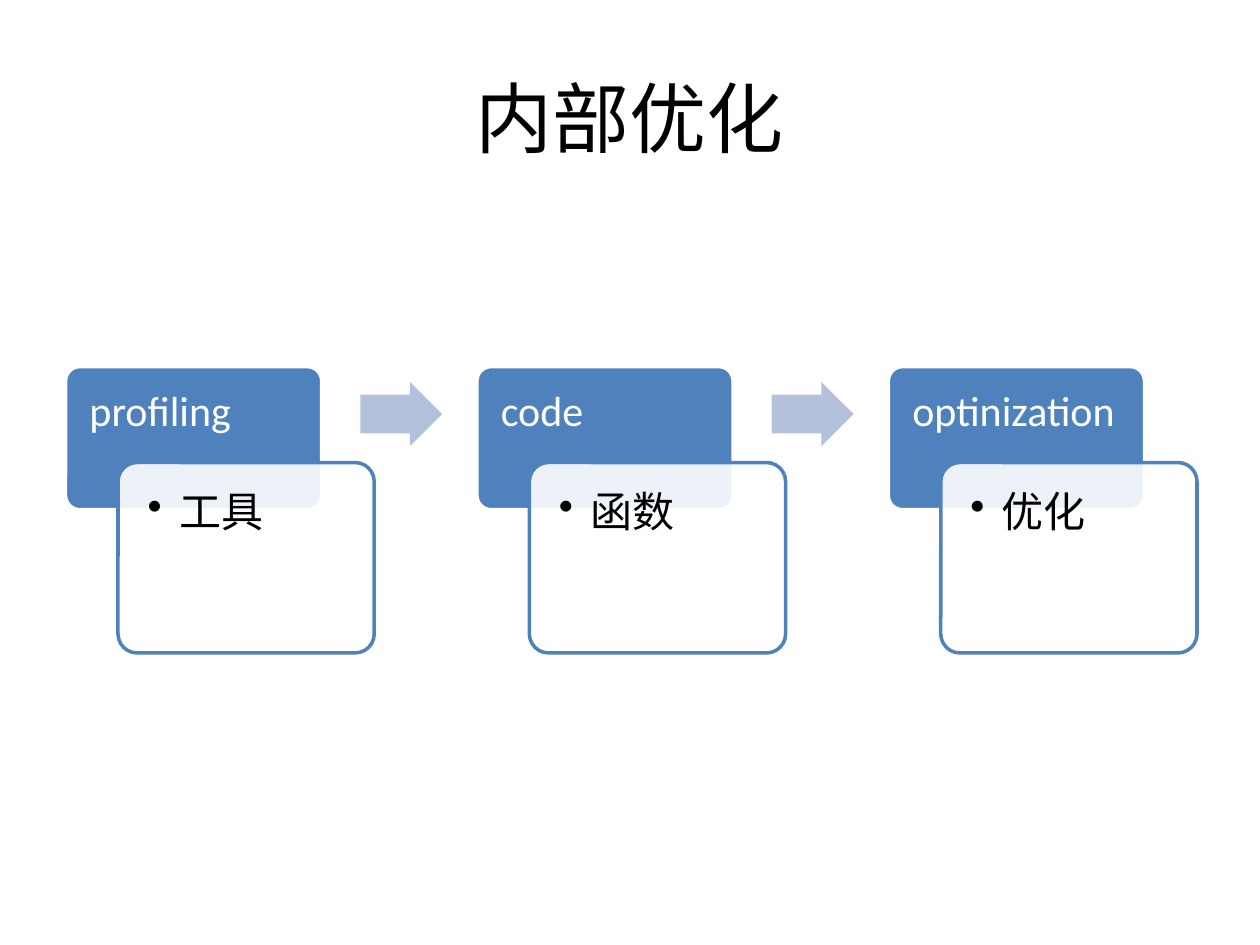
import lxml.etree
import pptx
import pptx.dml.color
import pptx.enum.shapes
import pptx.enum.text
import pptx.oxml.ns
import pptx.util

COLORS = {"blue": "4F81BD", "arrow": "B3C1DB", "white": "FFFFFF", "black": "000000"}
FONT = "Calibri"
SHAPES = pptx.enum.shapes.MSO_SHAPE
ANCHORS = pptx.enum.text.MSO_ANCHOR
SLIDE = (0, 0, 10, 7.5)
STAGES = [("profiling", "工具"), ("code", "函数"), ("optinization", "优化")]
STAGE_PITCH = 3.265
INSET = 0.19


def color(name):
    """Return the named colour."""
    return pptx.dml.color.RGBColor.from_string(COLORS[name])


def share(box, left, top, width, height):
    """Return the part of a box given by shares of its size."""
    x, y, w, h = box
    return x + left * w, y + top * h, width * w, height * h


def inset(box, gap):
    """Shrink a box by the same gap on every side."""
    x, y, w, h = box
    return x + gap, y + gap, w - 2 * gap, h - 2 * gap


def lengths(box):
    """Turn a box in inches into slide lengths."""
    return [pptx.util.Inches(value) for value in box]


def add_shape(page, kind, box, fill, adjustments, line=None, opacity=None):
    """Add a flat preset shape with an optional outline and opacity."""
    shape = page.shapes.add_shape(kind, *lengths(box))
    shape.shadow.inherit = False
    for index, value in enumerate(adjustments):
        shape.adjustments[index] = value
    shape.fill.solid()
    shape.fill.fore_color.rgb = color(fill)
    if opacity is not None:
        value = shape.fill._xPr.find(".//" + pptx.oxml.ns.qn("a:srgbClr"))
        alpha = lxml.etree.SubElement(value, pptx.oxml.ns.qn("a:alpha"))
        alpha.set("val", str(opacity * 1000))
    if line:
        shape.line.color.rgb = color(line)
        shape.line.width = pptx.util.Pt(2)
    else:
        shape.line.fill.background()


def add_text(page, box, text, size, ink, margins, anchor=ANCHORS.TOP):
    """Add a wrapped text box and return its paragraph."""
    frame = page.shapes.add_textbox(*lengths(box)).text_frame
    frame.word_wrap = True
    frame.vertical_anchor = anchor
    (frame.margin_left, frame.margin_top,
     frame.margin_right, frame.margin_bottom) = lengths(margins)
    para = frame.paragraphs[0]
    para.text = text
    span = para.runs[0]
    span.font.name = FONT
    span.font.size = pptx.util.Pt(size)
    span.font.color.rgb = color(ink)
    return para


def add_bullet(para):
    """Give a paragraph a round bullet with a hanging indent."""
    properties = para._p.get_or_add_pPr()
    indent = pptx.util.Inches(0.25)
    properties.set("marL", str(indent))
    properties.set("indent", str(-indent))
    bullet = lxml.etree.SubElement(properties, pptx.oxml.ns.qn("a:buChar"))
    bullet.set("char", "•")


def add_title(page, box, text):
    """Place the centred slide title."""
    para = add_text(page, box, text, 44, "black", (0.1, 0.05, 0.1, 0.05), ANCHORS.MIDDLE)
    para.alignment = pptx.enum.text.PP_ALIGN.CENTER


def add_stage(page, box, heading, detail, has_next):
    """Place one stage: heading card, overlapping detail card, arrow onward."""
    add_shape(page, SHAPES.ROUNDED_RECTANGLE, share(box, 0, 0, 0.83, 0.5),
              "blue", [0.1], line="white")
    para = add_text(page, share(box, 0, 0, 0.83, 0.335), heading, 24, "white",
                    (INSET, INSET, INSET, 0.1))
    para.line_spacing = 0.9

    detail_box = share(box, 0.17, 0.335, 0.83, 0.665)
    add_shape(page, SHAPES.ROUNDED_RECTANGLE, detail_box, "white", [0.1],
              line="blue", opacity=90)
    para = add_text(page, inset(detail_box, 0.045), detail, 24, "black", [INSET] * 4)
    para.line_spacing = 0.9
    add_bullet(para)

    if has_next:
        add_shape(page, SHAPES.RIGHT_ARROW, share(box, 0.955, 0.053, 0.265, 0.225),
                  "arrow", [0.6, 0.5])


def add_process(page, box):
    """Place the stages at an equal pitch from the left of the box."""
    left, top, width, height = box
    stage_width = width - STAGE_PITCH * (len(STAGES) - 1)
    for index, (heading, detail) in enumerate(STAGES):
        stage_box = (left + index * STAGE_PITCH, top, stage_width, height)
        add_stage(page, stage_box, heading, detail, index < len(STAGES) - 1)


deck = pptx.Presentation()
deck.slide_width, deck.slide_height = lengths(SLIDE[2:])
page = deck.slides.add_slide(deck.slide_layouts[6])
add_title(page, share(SLIDE, 0.05, 0.04, 0.9, 1 / 6), "内部优化")
add_process(page, share(SLIDE, 0.052, 0.388, 0.898, 0.303))
deck.save("out.pptx")
